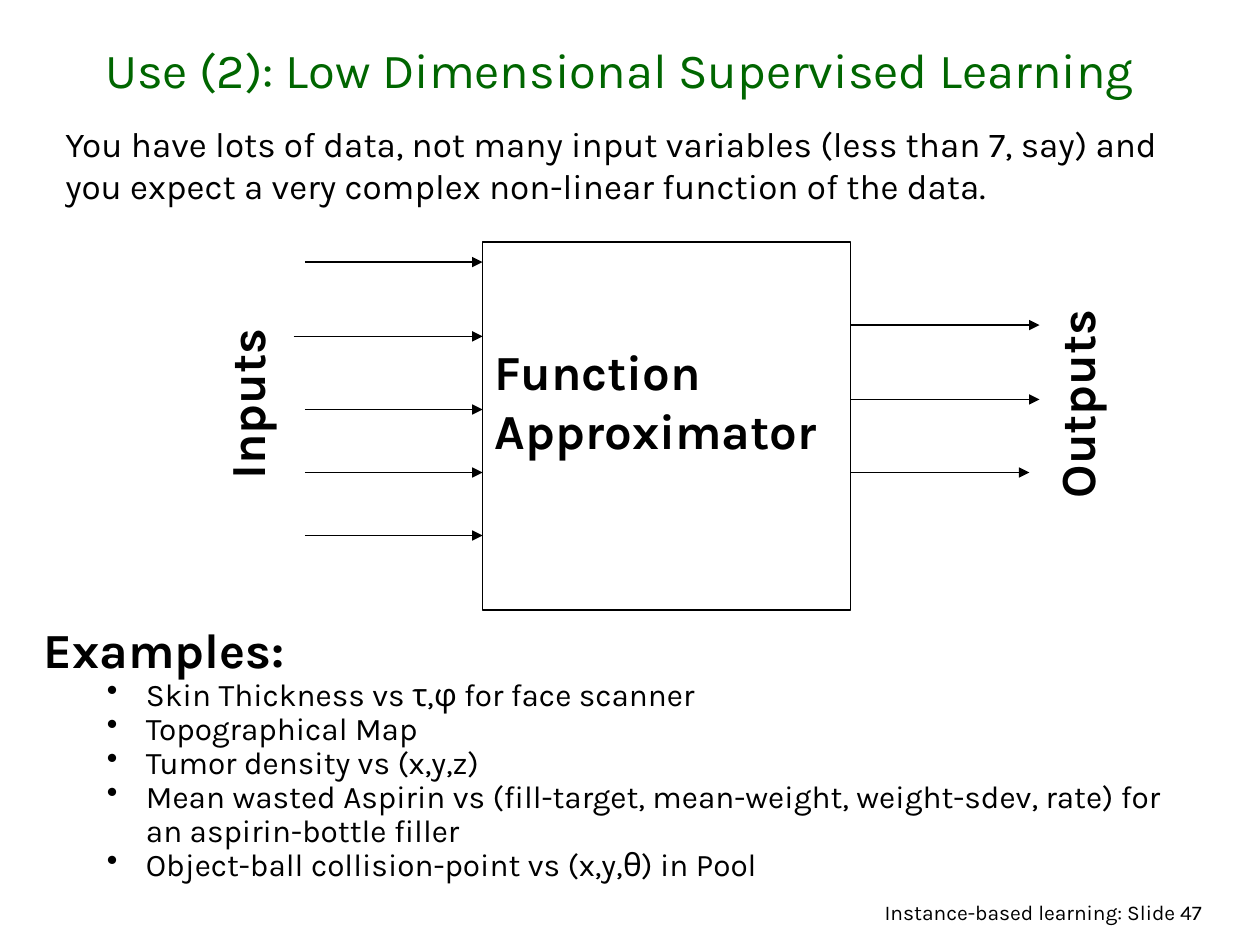
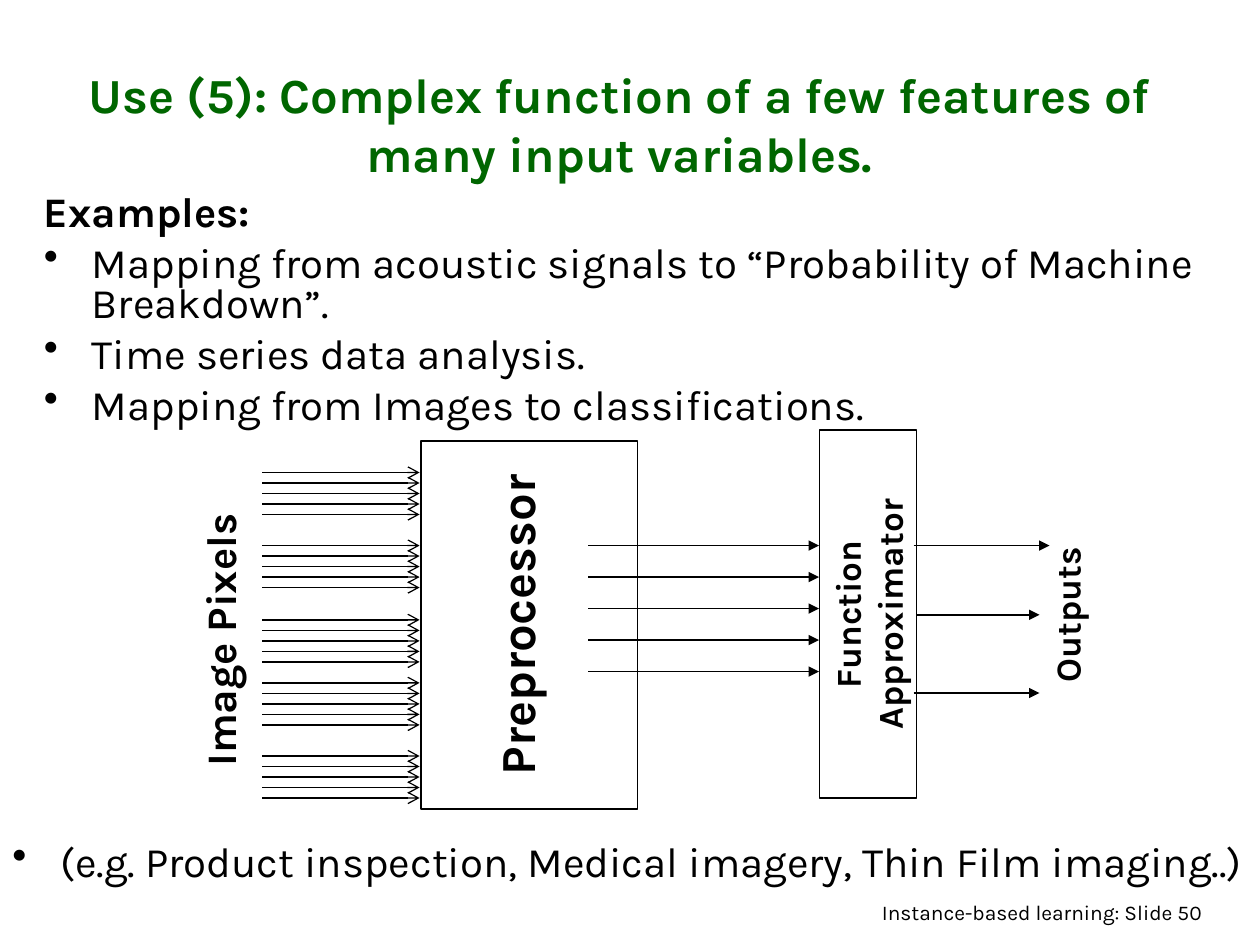
import pptx
import pptx.util
import pptx.dml.color
import pptx.enum.text
import pptx.enum.shapes
import pptx.oxml.ns
import lxml.etree

Inches = pptx.util.Inches
Align = pptx.enum.text.PP_ALIGN
Anchor = pptx.enum.text.MSO_ANCHOR
qualify = pptx.oxml.ns.qn

COLORS = {"text": "000000", "title": "006600"}
FONT = "Karla"


def write(shape, text, size, bold=False, color="text", align=Align.LEFT, anchor=Anchor.TOP,
          top_margin=0.05, line_spacing=None, space_before=0, bullet_indent=None, hanging=0.38):
    frame = shape.text_frame
    frame.word_wrap = True
    frame.auto_size = pptx.enum.text.MSO_AUTO_SIZE.NONE
    frame.vertical_anchor = anchor
    frame.margin_top = Inches(top_margin)
    paragraph = frame.paragraphs[-1]
    if paragraph.text:
        paragraph = frame.add_paragraph()
    paragraph.text = text
    paragraph.alignment = align
    paragraph.space_before = pptx.util.Pt(space_before)
    if line_spacing:
        paragraph.line_spacing = line_spacing
    if bullet_indent is not None:
        properties = paragraph._p.get_or_add_pPr()
        properties.set("marL", str(Inches(bullet_indent)))
        properties.set("indent", str(-Inches(hanging)))
        lxml.etree.SubElement(properties, qualify("a:buChar")).set("char", "•")
    font = paragraph.font
    font.name = FONT
    font.size = pptx.util.Pt(size)
    font.bold = bold
    font.color.rgb = pptx.dml.color.RGBColor.from_string(COLORS[color])


def add_arrow(slide, start_x, start_y, end_x, end_y, head="triangle"):
    arrow = slide.shapes.add_connector(
        pptx.enum.shapes.MSO_CONNECTOR.STRAIGHT,
        Inches(start_x), Inches(start_y), Inches(end_x), Inches(end_y))
    arrow.line.width = pptx.util.Pt(0.75)
    arrow.line.color.rgb = pptx.dml.color.RGBColor.from_string(COLORS["text"])
    line = arrow.line._get_or_add_ln()
    lxml.etree.SubElement(line, qualify("a:tailEnd")).set("type", head)
    lxml.etree.SubElement(arrow._element.spPr, qualify("a:effectLst"))
    return arrow


presentation = pptx.Presentation()
presentation.slide_width = Inches(10)
presentation.slide_height = Inches(7.5)

slides = []
for number, title, title_height, title_bold in (
    (47, "Use (2): Low Dimensional Supervised Learning", 0.58, False),
    (50, "Use (5): Complex function of a few features of many input variables.", 1.25, True),
):
    slide = presentation.slides.add_slide(presentation.slide_layouts[5])
    title_shape = slide.shapes.title
    title_shape.left, title_shape.top = Inches(0.25), Inches(0.25)
    title_shape.width, title_shape.height = Inches(9.33), Inches(title_height)
    write(title_shape, title, 28, bold=title_bold, color="title",
          align=Align.CENTER, anchor=Anchor.BOTTOM)
    footer = slide.shapes.add_textbox(Inches(5.72), Inches(7.09), Inches(3.92), Inches(0.33))
    write(footer, f"Instance-based learning: Slide {number}", 12, align=Align.RIGHT)
    slides.append(slide)
low_dimensional, few_features = slides

for slide, text, size, bounds in (
    (low_dimensional, "Inputs", 28, (0.83, 2.92, 2.25, 0.57)),
    (low_dimensional, "Outputs", 28, (7.08, 2.92, 2.92, 0.57)),
    (few_features, "Image Pixels", 24, (0.33, 4.83, 2.83, 0.5)),
    (few_features, "Outputs", 20, (7.43, 4.66, 2.08, 0.44)),
):
    label = slide.shapes.add_textbox(*map(Inches, bounds))
    label.rotation = 270
    write(label, text, size, bold=True, align=Align.CENTER)

for slide, text, size, bounds, rotation, align, top_margin in (
    (low_dimensional, "Function Approximator", 28, (3.83, 1.92, 2.92, 2.92), 0, Align.LEFT, 0.79),
    (few_features, "Preprocessor", 28, (2.74, 4.1, 2.92, 1.72), 270, Align.CENTER, 0.52),
    (few_features, "Function Approximator", 20, (5.43, 4.49, 2.92, 0.77), 270, Align.CENTER, 0.05),
):
    box = slide.shapes.add_shape(pptx.enum.shapes.MSO_SHAPE.RECTANGLE, *map(Inches, bounds))
    box.rotation = rotation
    box.shadow.inherit = False
    box.fill.background()
    box.line.color.rgb = pptx.dml.color.RGBColor.from_string(COLORS["text"])
    box.line.width = pptx.util.Pt(1)
    write(box, text, size, bold=True, align=align, top_margin=top_margin)
approximator = box

introduction = low_dimensional.shapes.add_textbox(
    Inches(0.42), Inches(0.92), Inches(9), Inches(0.77))
write(introduction, "You have lots of data, not many input variables (less than 7, say) and "
      "you expect a very complex non-linear function of the data.", 20)

for start_x, y in ((2.42, 2.08), (2.33, 2.67), (2.42, 3.25), (2.42, 3.75), (2.42, 4.25)):
    add_arrow(low_dimensional, start_x, y, 3.83, y)
for y, end_x in ((2.58, 8.25), (3.17, 8.25), (3.75, 8.17)):
    add_arrow(low_dimensional, 6.75, y, end_x, y)

examples = low_dimensional.shapes.add_textbox(
    Inches(0.25), Inches(4.92), Inches(9.38), Inches(2.17))
write(examples, "Examples:", 28, bold=True, line_spacing=0.9)
for text in (
    "Skin Thickness vs τ,φ for face scanner",
    "Topographical Map",
    "Tumor density vs (x,y,z)",
    "Mean wasted Aspirin vs (fill-target, mean-weight, weight-sdev, rate) for an aspirin-bottle filler",
    "Object-ball collision-point vs (x,y,θ) in Pool",
):
    write(examples, text, 18, line_spacing=0.9, bullet_indent=0.81, hanging=0.31)

examples = few_features.shapes.add_textbox(
    Inches(0.25), Inches(1.5), Inches(9.38), Inches(2))
write(examples, "Examples:", 24, bold=True, line_spacing=0.8)
for text in (
    "Mapping from acoustic signals to “Probability of Machine Breakdown”.",
    "Time series data analysis.",
    "Mapping from Images to classifications.",
):
    write(examples, text, 24, line_spacing=0.8, space_before=6, bullet_indent=0.38)

for group_top in (3.75, 4.33, 4.92, 5.42, 6):
    for pixel in range(5):
        y = group_top + pixel / 12
        add_arrow(few_features, 2.08, y, 3.33, y, head="arrow")
for feature in range(5):
    y = 4.33 + feature * 0.25
    add_arrow(few_features, 4.67, y, 6.5, y)
for y, end_x in ((4.33, 8.33), (5.5, 8.25)):
    add_arrow(few_features, 7.25, y, end_x, y)

middle_output = add_arrow(few_features, 7.28, 4.88, 8.25, 4.88)
middle_output.begin_connect(approximator, 2)
middle_output.begin_x, middle_output.begin_y = Inches(7.28), Inches(4.88)
middle_output.end_x, middle_output.end_y = Inches(8.25), Inches(4.88)

applications = few_features.shapes.add_textbox(
    Inches(0), Inches(6.58), Inches(10), Inches(0.9))
write(applications, "(e.g. Product inspection, Medical imagery, Thin Film imaging..)", 24,
      bullet_indent=0.38)

presentation.save("out.pptx")
